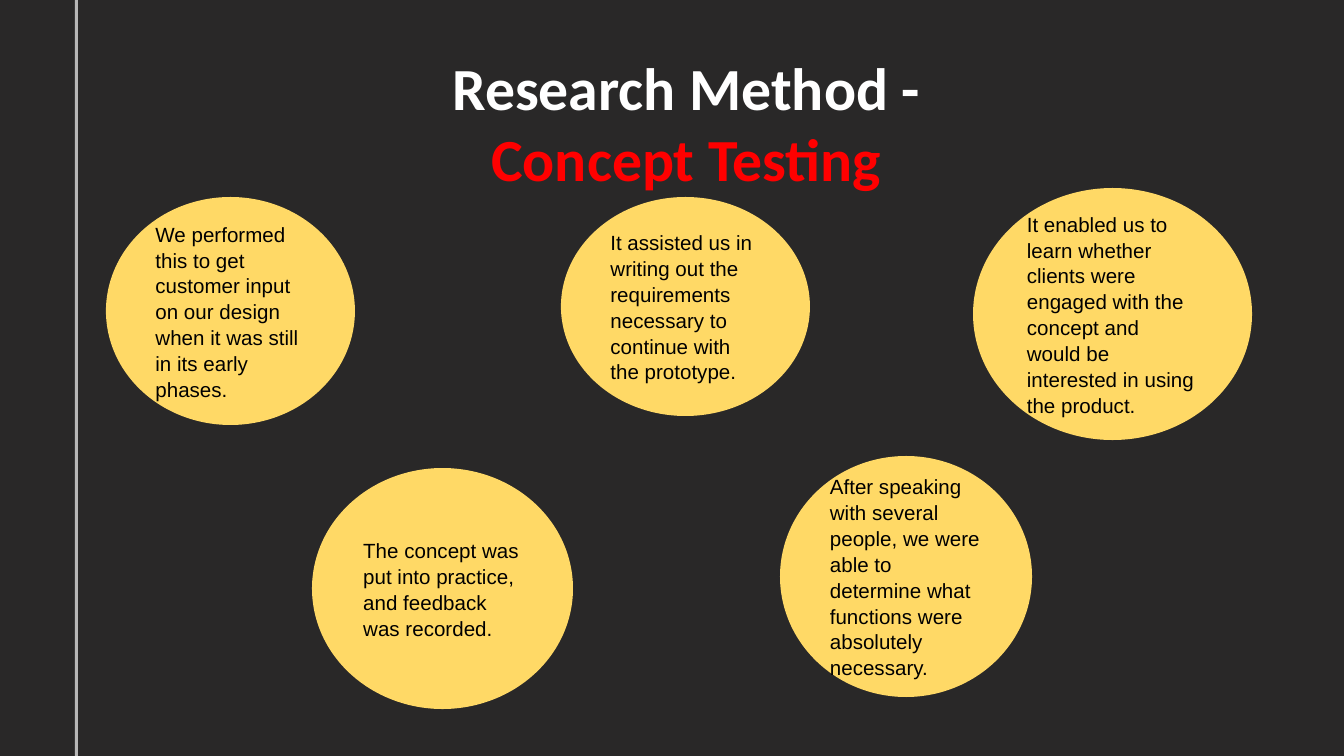
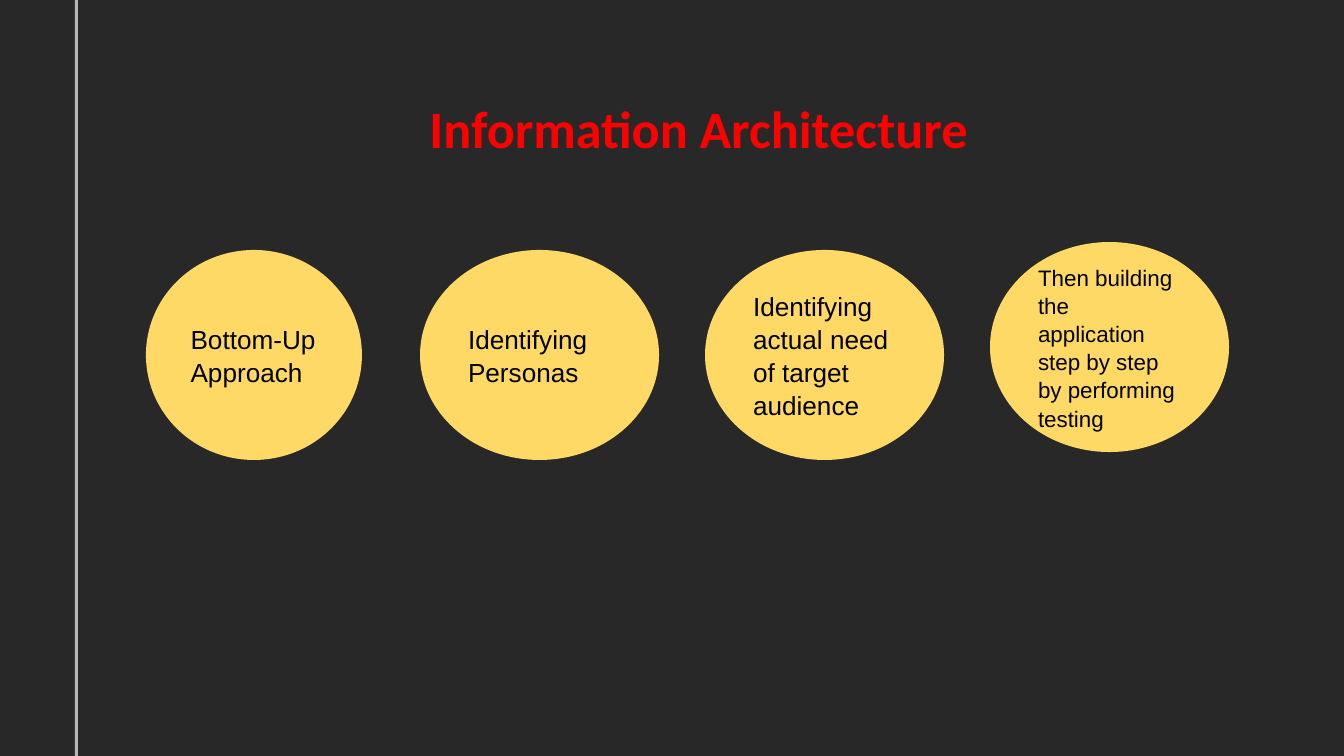
from pptx import Presentation
from pptx import util as u
from pptx.dml.color import RGBColor
from pptx.enum import shapes, text

SCALE = 914400 / 134.4
WIDTH, HEIGHT = 1344, 756
INSET = 13
DARK, GREY, YELLOW = "292828", "B7B7B7", "FFD966"
WHITE, RED, BLACK = "FFFFFF", "FF0000", "000000"

FINDINGS = [
    ((106, 197, 249, 228), "We performed this to get customer input on our design "
                           "when it was still in its early phases."),
    ((312, 468, 261, 241), "The concept was put into practice, and feedback was recorded."),
    ((561, 197, 249, 219), "It assisted us in writing out the requirements necessary "
                           "to continue with the prototype."),
    ((780, 456, 252, 241), "After speaking with several people, we were able to determine "
                           "what functions were absolutely necessary."),
    ((973, 188, 279, 252), "It enabled us to learn whether clients were engaged with the "
                           "concept and would be interested in using the product."),
]
STEPS = [
    ("Identifying Personas", 250, 14),
    ("Identifying actual need of target audience", 250, 14),
    ("Then building the application step by step by performing testing", 242, 12),
]


def px(n):
    """Turn pixels into EMU."""
    return u.Emu(round(n * SCALE))


def color(code):
    """Turn a hex string into a colour."""
    return RGBColor.from_string(code)


def set_frame(tf):
    """Give a text frame the shared insets, anchor and wrapping."""
    tf.margin_left = tf.margin_right = tf.margin_top = tf.margin_bottom = px(INSET)
    tf.vertical_anchor = text.MSO_ANCHOR.MIDDLE
    tf.auto_size = text.MSO_AUTO_SIZE.NONE
    tf.word_wrap = True


def add_shape(s, kind, box, fill):
    """Add a flat shape without an outline."""
    sp = s.shapes.add_shape(kind, *map(px, box))
    sp.shadow.inherit = False
    sp.fill.solid()
    sp.fill.fore_color.rgb = color(fill)
    sp.line.fill.background()
    return sp


def add_slide(prs, left, top, lines, size):
    """Add a slide with the side stripe and a title of coloured lines."""
    s = prs.slides.add_slide(prs.slide_layouts[5])
    add_shape(s, shapes.MSO_SHAPE.RECTANGLE, (75, 0, 3, HEIGHT), GREY)
    title = s.shapes.title
    title.left, title.top, title.width, title.height = map(px, (left, top, 1133, 136))
    set_frame(title.text_frame)
    p = title.text_frame.paragraphs[0]
    p.alignment = text.PP_ALIGN.CENTER
    p.font.name, p.font.size, p.font.bold = "Calibri", u.Pt(size), True
    for i, (words, code) in enumerate(lines):
        if i:
            p.add_line_break()
        r = p.add_run()
        r.text = words
        r.font.color.rgb = color(code)
    return s


def add_bubble(s, box, words, size):
    """Add a yellow ellipse with left-aligned text."""
    sp = add_shape(s, shapes.MSO_SHAPE.OVAL, box, YELLOW)
    tf = sp.text_frame
    set_frame(tf)
    tf.text = words
    for p in tf.paragraphs:
        p.alignment = text.PP_ALIGN.LEFT
        p.line_spacing = 1.05
        p.font.name, p.font.size = "Arial", u.Pt(size)
        p.font.color.rgb = color(BLACK)


def main():
    """Build both slides and save them."""
    prs = Presentation()
    prs.slide_width, prs.slide_height = px(WIDTH), px(HEIGHT)
    fill = prs.slide_master.background.fill
    fill.solid()
    fill.fore_color.rgb = color(DARK)

    s = add_slide(prs, 120, 54, [("Research Method -", WHITE), ("Concept Testing", RED)], 32)
    for box, words in FINDINGS:
        add_bubble(s, box, words, 11)

    s = add_slide(prs, 132, 60, [("Information Architecture", RED)], 28)
    add_bubble(s, (146, 250, 216, 210), "Bottom-Up\nApproach", 14)
    for i, (words, top, size) in enumerate(STEPS):
        add_bubble(s, (420 + 285 * i, top, 239, 210), words, size)

    prs.save("out.pptx")


if __name__ == "__main__":
    main()
